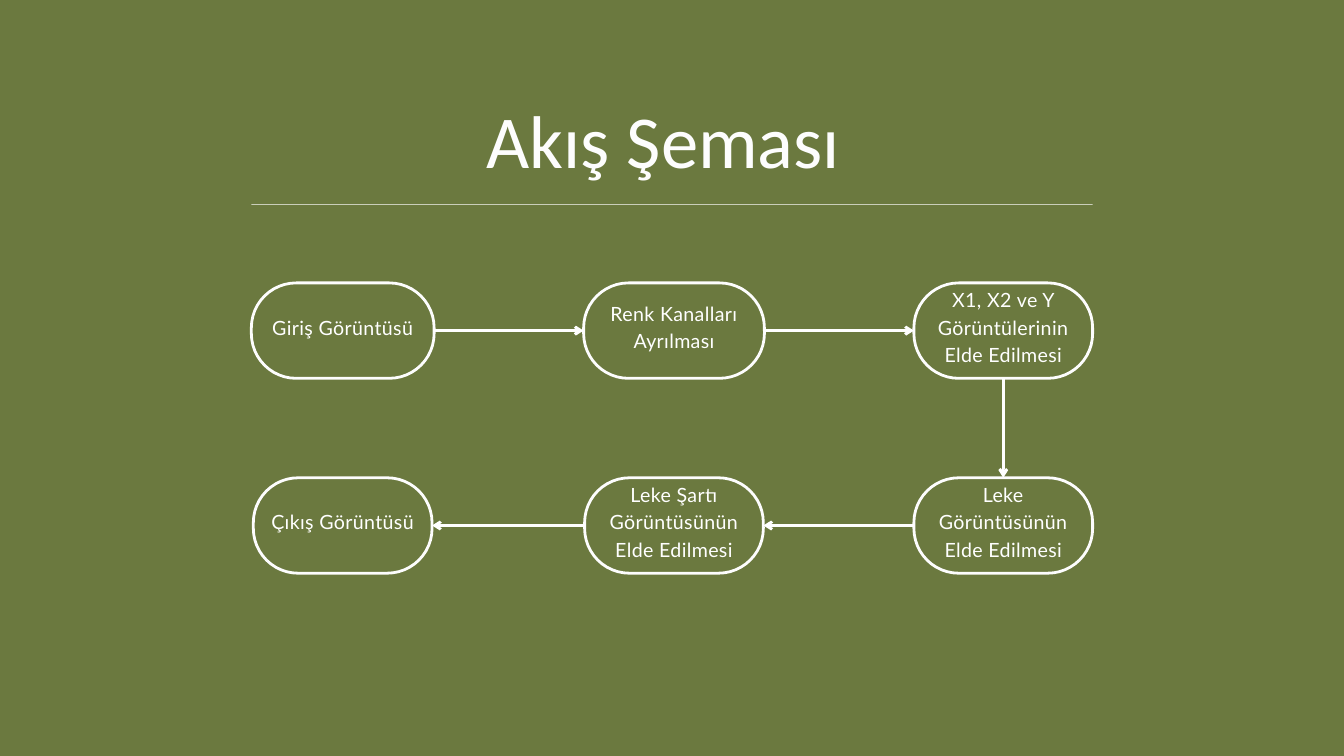
"""Build the "Akış Şeması" flow chart slide."""
from dataclasses import dataclass

from lxml import etree
from pptx import Presentation
from pptx import util as u
from pptx.dml.color import RGBColor
from pptx.enum import shapes, text
from pptx.oxml.ns import qn

TOP, LEFT, BOTTOM, RIGHT = range(4)


@dataclass(frozen=True)
class Theme:
    """Colours, fonts and sizes of the slide."""
    background: RGBColor = RGBColor(0x6B, 0x79, 0x3F)
    outline: RGBColor = RGBColor(0xFD, 0xFD, 0xFD)
    label: RGBColor = RGBColor(0xFF, 0xFF, 0xFF)
    title_font: str = "Calibri"
    label_font: str = "Lato"
    title_size: u.Pt = u.Pt(80)
    title_spacing: u.Pt = u.Pt(88)
    label_size: u.Pt = u.Pt(21)
    label_spacing: u.Pt = u.Pt(29.4)
    letter_spacing: str = "40"
    line_width: u.Pt = u.Pt(3)


@dataclass(frozen=True)
class Step:
    """One stage of the flow, placed by column and row."""
    label: str
    column: int
    row: int
    width: float = 2.66


@dataclass(frozen=True)
class Link:
    """An arrow from one step's side to the next step's side."""
    begin_side: int
    end_side: int


THEME = Theme()
MARGIN, CONTENT_WIDTH = 3.74, 12.52
COLUMN_CENTERS = (5.1, 10.03, 14.93)
ROW_TOPS = (4.21, 7.11)
STEP_HEIGHT = 1.42
CORNER = 0.47

STEPS = (
    Step("Giriş Görüntüsü", 0, 0, 2.72),
    Step("Renk Kanalları Ayrılması", 1, 0, 2.69),
    Step("X1, X2 ve Y Görüntülerinin Elde Edilmesi", 2, 0),
    Step("Leke Görüntüsünün Elde Edilmesi", 2, 1),
    Step("Leke Şartı Görüntüsünün Elde Edilmesi", 1, 1),
    Step("Çıkış Görüntüsü", 0, 1),
)
LINKS = (
    Link(RIGHT, LEFT),
    Link(RIGHT, LEFT),
    Link(BOTTOM, TOP),
    Link(LEFT, RIGHT),
    Link(LEFT, RIGHT),
)


def set_insets(frame, side: float, top: float, bottom: float) -> None:
    """Set the inner margins of a text frame in inches."""
    frame.margin_left = frame.margin_right = u.Inches(side)
    frame.margin_top, frame.margin_bottom = u.Inches(top), u.Inches(bottom)


def format_text(paragraph, font_name: str, size: u.Pt, spacing: u.Pt, color: RGBColor) -> None:
    """Centre a paragraph and style its runs."""
    paragraph.alignment = text.PP_ALIGN.CENTER
    paragraph.line_spacing = spacing
    for run in paragraph.runs:
        run.font.name, run.font.size = font_name, size
        run.font.color.rgb = color


def draw_heading(slide) -> None:
    """Place the title and the thin rule below it."""
    title = slide.shapes.title
    title.left, title.top = u.Inches(MARGIN), u.Inches(1.51)
    title.width, title.height = u.Inches(CONTENT_WIDTH), u.Inches(1.28)
    frame = title.text_frame
    frame.text = "Akış Şeması "
    frame.auto_size = text.MSO_AUTO_SIZE.NONE
    frame.vertical_anchor = text.MSO_ANCHOR.TOP
    set_insets(frame, 0, 0, 0)
    format_text(frame.paragraphs[0], THEME.title_font, THEME.title_size,
                THEME.title_spacing, THEME.outline)

    rule = slide.shapes.add_shape(
        shapes.MSO_SHAPE.RECTANGLE, u.Inches(MARGIN), u.Inches(3.04),
        u.Inches(CONTENT_WIDTH), u.Inches(0.01))
    rule.shadow.inherit = False
    rule.fill.solid()
    rule.fill.fore_color.rgb = THEME.outline
    rule.line.fill.background()


def draw_step(slide, step: Step):
    """Draw one rounded, labelled step and return its shape."""
    shape = slide.shapes.add_shape(
        shapes.MSO_SHAPE.ROUNDED_RECTANGLE,
        u.Inches(COLUMN_CENTERS[step.column] - step.width / 2),
        u.Inches(ROW_TOPS[step.row]), u.Inches(step.width), u.Inches(STEP_HEIGHT))
    shape.adjustments[0] = CORNER
    shape.shadow.inherit = False
    shape.fill.background()
    shape.line.color.rgb = THEME.outline
    shape.line.width = THEME.line_width
    frame = shape.text_frame
    frame.text = step.label
    frame.word_wrap = True
    frame.vertical_anchor = text.MSO_ANCHOR.MIDDLE
    set_insets(frame, 0, -0.18, -0.02)
    paragraph = frame.paragraphs[0]
    format_text(paragraph, THEME.label_font, THEME.label_size,
                THEME.label_spacing, THEME.label)
    for run in paragraph.runs:
        run.font._element.set("spc", THEME.letter_spacing)
    return shape


def draw_link(slide, begin, end, link: Link) -> None:
    """Join two steps with an arrow."""
    connector = slide.shapes.add_connector(shapes.MSO_CONNECTOR.STRAIGHT, 0, 0, 0, 0)
    connector.begin_connect(begin, link.begin_side)
    connector.end_connect(end, link.end_side)
    connector.line.color.rgb = THEME.label
    connector.line.width = THEME.line_width
    etree.SubElement(connector.line._get_or_add_ln(), qn("a:tailEnd"), type="arrow")
    etree.SubElement(connector._element.spPr, qn("a:effectLst"))


def main() -> None:
    """Build and save the presentation."""
    presentation = Presentation()
    presentation.slide_width, presentation.slide_height = u.Inches(20), u.Inches(11.25)
    slide = presentation.slides.add_slide(presentation.slide_layouts[5])
    slide.background.fill.solid()
    slide.background.fill.fore_color.rgb = THEME.background
    draw_heading(slide)
    step_shapes = [draw_step(slide, step) for step in STEPS]
    for begin, end, link in zip(step_shapes, step_shapes[1:], LINKS):
        draw_link(slide, begin, end, link)
    presentation.save("out.pptx")


if __name__ == "__main__":
    main()
